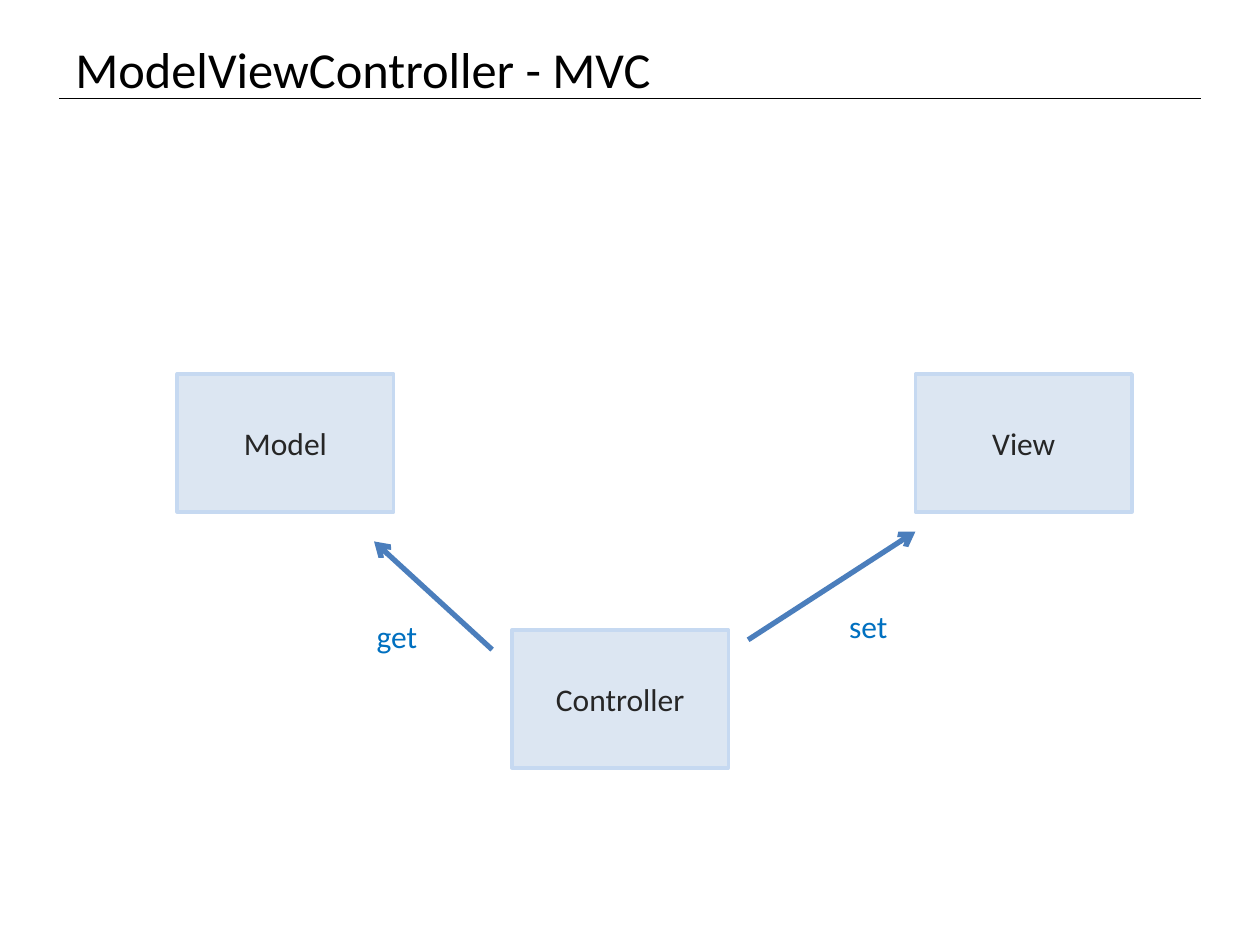
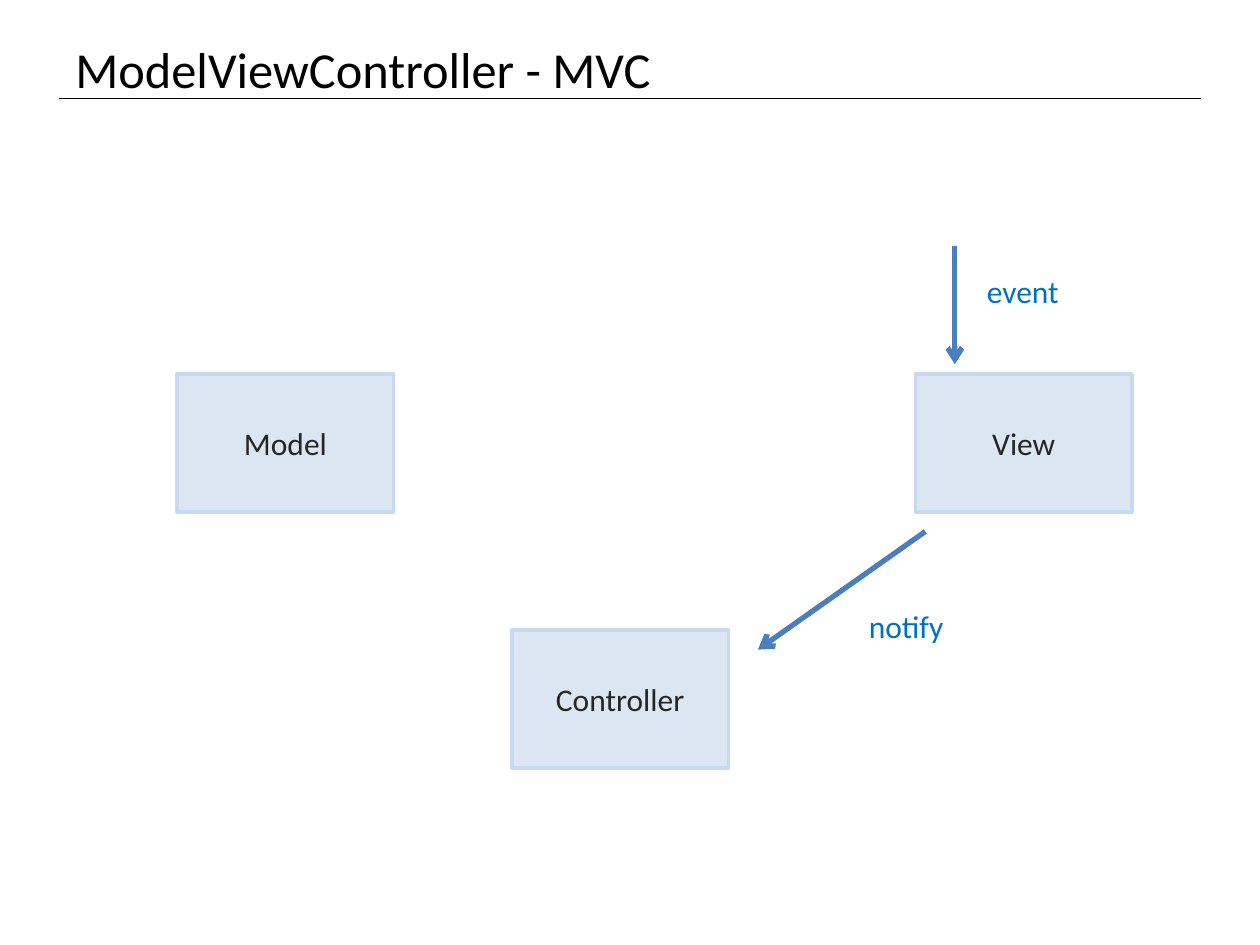
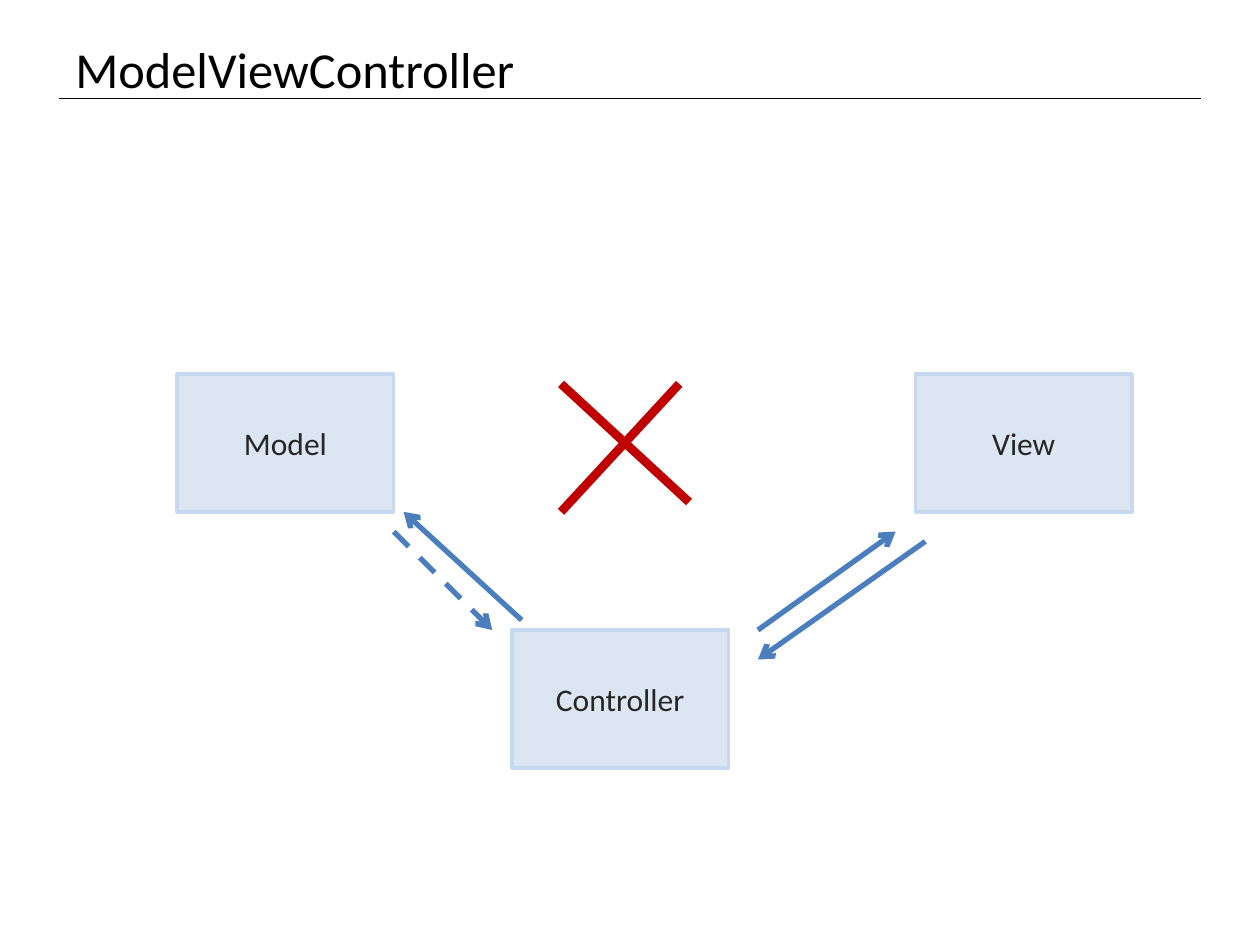
"""Build three slides that explain the calls between model, view and controller."""
from lxml import etree
from pptx import Presentation
from pptx import util as u
from pptx.dml.color import RGBColor
from pptx.enum import dml, shapes, text
from pptx.oxml.ns import qn

COLORS = {
    "title": "000000", "box": "DCE6F2", "border": "C6D9F1", "box_text": "262626",
    "arrow": "4B7EBC", "label": "0070C0", "cross": "C00000",
}
FONT = "Calibri"
WIDTH, HEIGHT = 720, 540
GRID = WIDTH / 128
BOX_SIZE = (22, 14)
RULE = ((6, 10), (122, 10))
BOXES = {"Controller": (52, 64), "Model": (18, 38), "View": (93, 38)}

SLIDES = [
    {
        "title": "ModelViewController - MVC",
        "arrows": [((50, 66), (38, 55)), ((76, 65), (93, 54))],
        "labels": [("get", (37, 62), 38), ("set", (85, 61), 37)],
    },
    {
        "title": "ModelViewController - MVC",
        "arrows": [((94, 54), (77, 66)), ((97, 25), (97, 37))],
        "labels": [("notify", (87, 61), 57.6), ("event", (99, 27), 56)],
    },
    {
        "title": "ModelViewController",
        "dashed": [((40, 54), (50, 64))],
        "arrows": [((53, 63), (41, 52)), ((94, 55), (77, 67)), ((77, 64), (91, 54))],
        "cross": [((57, 39), (70, 51)), ((69, 39), (57, 52))],
    },
]


def color(name):
    return RGBColor.from_string(COLORS[name])


def on_grid(pair):
    return [u.Pt(value * GRID) for value in pair]


def write(shape, content, size, color_name, align, anchor, wrap=True):
    frame = shape.text_frame
    frame.word_wrap = wrap
    frame.vertical_anchor = anchor
    paragraph = frame.paragraphs[0]
    paragraph.alignment = align
    run = paragraph.add_run()
    run.text = content
    run.font.name = FONT
    run.font.size = u.Pt(size)
    run.font.color.rgb = color(color_name)
    return frame


def add_title(slide, content):
    shape = slide.shapes.add_textbox(u.Pt(36), u.Pt(21.6), u.Pt(648), u.Pt(34.6))
    frame = write(shape, content, 28.8, "title", text.PP_ALIGN.LEFT, text.MSO_ANCHOR.MIDDLE)
    frame.margin_top = frame.margin_bottom = 0
    add_line(slide, RULE, "title", 0.75)


def add_line(slide, ends, color_name, weight, arrow=False, dashed=False):
    start, end = ends
    connector = slide.shapes.add_connector(
        shapes.MSO_CONNECTOR.STRAIGHT, *on_grid(start), *on_grid(end))
    connector.line.color.rgb = color(color_name)
    connector.line.width = u.Pt(weight)
    if dashed:
        connector.line.dash_style = dml.MSO_LINE.DASH
    if arrow:
        etree.SubElement(connector.line._get_or_add_ln(), qn("a:tailEnd"), type="arrow")
    etree.SubElement(connector._element.spPr, qn("a:effectLst"))


def add_box(slide, name, corner):
    box = slide.shapes.add_shape(
        shapes.MSO_SHAPE.FLOWCHART_PROCESS, *on_grid(corner), *on_grid(BOX_SIZE))
    box.shadow.inherit = False
    box.fill.solid()
    box.fill.fore_color.rgb = color("box")
    box.line.color.rgb = color("border")
    box.line.width = u.Pt(2)
    write(box, name, 18, "box_text", text.PP_ALIGN.CENTER, text.MSO_ANCHOR.MIDDLE)


def add_label(slide, content, corner, width):
    shape = slide.shapes.add_textbox(*on_grid(corner), u.Pt(width), u.Pt(29))
    frame = write(shape, content, 18, "label", text.PP_ALIGN.LEFT, text.MSO_ANCHOR.TOP, False)
    frame.auto_size = text.MSO_AUTO_SIZE.SHAPE_TO_FIT_TEXT


def add_diagram(presentation, content):
    slide = presentation.slides.add_slide(presentation.slide_layouts[6])
    add_title(slide, content["title"])
    for name, corner in BOXES.items():
        add_box(slide, name, corner)
    for ends in content.get("dashed", []):
        add_line(slide, ends, "arrow", 3, arrow=True, dashed=True)
    for ends in content["arrows"]:
        add_line(slide, ends, "arrow", 3, arrow=True)
    for label in content.get("labels", []):
        add_label(slide, *label)
    for ends in content.get("cross", []):
        add_line(slide, ends, "cross", 5)


presentation = Presentation()
presentation.slide_width, presentation.slide_height = u.Pt(WIDTH), u.Pt(HEIGHT)
for content in SLIDES:
    add_diagram(presentation, content)
presentation.save("out.pptx")
